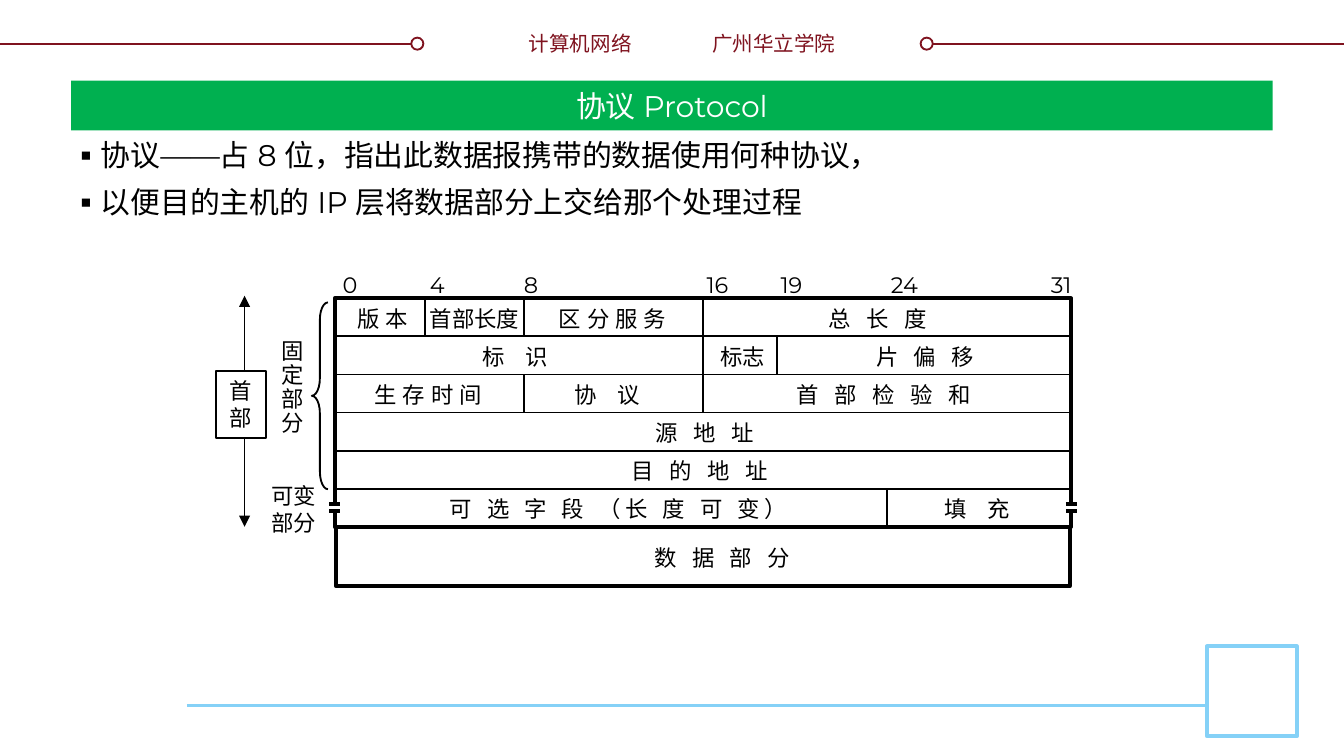
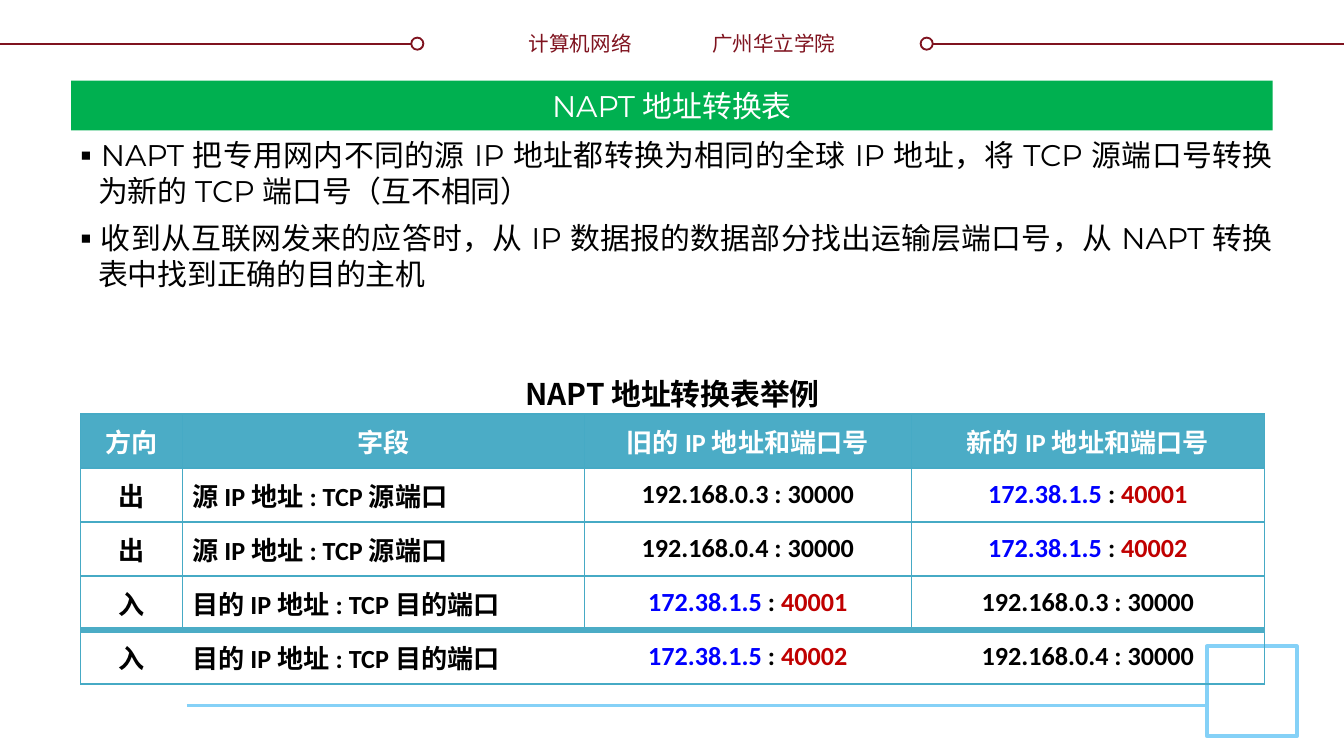
from lxml import etree
from pptx import Presentation
from pptx.dml.color import RGBColor
from pptx.enum.shapes import MSO_CONNECTOR as Connector, MSO_SHAPE as Shape
from pptx.enum.text import MSO_ANCHOR as Anchor, PP_ALIGN as Align
from pptx.oxml.ns import qn
from pptx.util import Inches, Pt

COLORS = {
    "white": "FFFFFF", "black": "000000", "maroon": "7F131F", "sky": "85D1F7",
    "green": "00B050", "teal": "4BACC6", "border": "46AAC5",
    "public": "0000FF", "port": "C00000",
}
BODY_FONT, CJK_FONT, TABLE_FONT = "Montserrat", "Noto Sans CJK SC", "Calibri"
FORMATS = {
    "header": {"size": Pt(11), "name": CJK_FONT},
    "body": {"size": Pt(16), "name": BODY_FONT},
    "label": {"size": Pt(12), "name": BODY_FONT},
    "caption": {"size": Pt(16), "name": CJK_FONT, "bold": True},
    "cell": {"size": Pt(14), "name": TABLE_FONT, "bold": True},
}
EAST_ASIAN_FONTS = {"cell": CJK_FONT}
DEFAULT_INSETS = (0.1, 0.05, 0.1, 0.05)


def color(name):
    return RGBColor.from_string(COLORS[name])


def set_values(target, values):
    for name, value in values.items():
        setattr(target, name, value)


def write_runs(paragraph, runs, style, spacing=0):
    """Fill a paragraph with (text, colour) runs."""
    for text, color_name in runs:
        run = paragraph.add_run()
        run.text = text
        set_values(run.font, FORMATS[style])
        run.font.color.rgb = color(color_name)
        properties = run.font._element
        if spacing:
            properties.set("spc", str(round(spacing * 100)))
        east_asian = etree.SubElement(properties, qn("a:ea"))
        east_asian.set("typeface", EAST_ASIAN_FONTS.get(style, FORMATS[style]["name"]))


def write_text(shape, lines, style, color_name="black", align=Align.LEFT, wrap=False,
               insets=DEFAULT_INSETS, anchor=Anchor.TOP, spacing=0, **paragraph_values):
    frame = shape.text_frame
    set_values(frame, {"word_wrap": wrap, "vertical_anchor": anchor})
    sides = ("margin_left", "margin_top", "margin_right", "margin_bottom")
    set_values(frame, {side: Inches(inset) for side, inset in zip(sides, insets)})
    for index, line in enumerate(lines):
        paragraph = frame.add_paragraph() if index else frame.paragraphs[0]
        set_values(paragraph, {"alignment": align, **paragraph_values})
        write_runs(paragraph, [(line, color_name)], style, spacing)
    return frame


def add_text(slide, box, lines, style, **options):
    shape = slide.shapes.add_textbox(*map(Inches, box))
    return write_text(shape, lines, style, **options)


def add_box(slide, box, fill="white", line=None, width=1, kind=Shape.RECTANGLE):
    shape = slide.shapes.add_shape(kind, *map(Inches, box))
    shape.shadow.inherit = False
    if fill:
        shape.fill.solid()
        shape.fill.fore_color.rgb = color(fill)
    else:
        shape.fill.background()
    if line:
        shape.line.color.rgb = color(line)
        shape.line.width = Pt(width)
    else:
        shape.line.fill.background()
    return shape


def add_line(slide, start, end, line="black", width=1, arrows=False):
    connector = slide.shapes.add_connector(
        Connector.STRAIGHT, *map(Inches, (*start, *end)))
    connector.line.color.rgb = color(line)
    connector.line.width = Pt(width)
    if arrows:
        outline = connector.line._get_or_add_ln()
        for tag in ("a:headEnd", "a:tailEnd"):
            etree.SubElement(outline, qn(tag)).set("type", "triangle")
    etree.SubElement(connector._element.spPr, qn("a:effectLst"))
    return connector


# Shared parts
def add_running_header(slide, box):
    left, top, width, height = box
    middle, line_length, dot = top + height / 2, 3.15, 0.09
    right = left + width
    for start, end, dot_left in (
            (left, left + line_length, left + line_length - dot),
            (right - line_length, right, right - line_length)):
        add_line(slide, (start, middle), (end, middle), "maroon")
        add_box(slide, (dot_left, middle - dot / 2, dot, dot), line="maroon",
                kind=Shape.OVAL)
    add_text(slide, (left + 3.83, top, 0.97, height), ["计算机网络"], "header",
             color_name="maroon", align=Align.RIGHT)
    add_text(slide, (left + 5.2, top, 1.16, height), ["广州华立学院"], "header",
             color_name="maroon")


def add_footer(slide, box):
    left, top, width, height = box
    square_left = left + width - height
    add_line(slide, (left, top + 0.44), (square_left, top + 0.44), "sky", 1.5)
    add_box(slide, (square_left, top, height, height), line="sky", width=2)


def add_title(slide, box, title):
    write_text(add_box(slide, box, "green"), [title], "body", color_name="white",
               align=Align.CENTER, wrap=True, anchor=Anchor.MIDDLE)


def add_bullets(slide, box, lines):
    frame = add_text(slide, box, lines, "body", align=Align.JUSTIFY, wrap=True,
                     insets=(0, 0.04, 0, 0.04), space_after=Pt(6))
    for paragraph in frame.paragraphs:
        properties = paragraph._p.get_or_add_pPr()
        properties.set("marL", str(Inches(0.2)))
        properties.set("indent", str(-Inches(0.2)))
        etree.SubElement(properties, qn("a:buFont")).set("typeface", CJK_FONT)
        etree.SubElement(properties, qn("a:buChar")).set("char", "▪")


def add_base_slide(presentation, title, bullets):
    slide = presentation.slides.add_slide(presentation.slide_layouts[6])
    add_running_header(slide, (0, 0.18, 10, 0.29))
    add_footer(slide, (1.39, 4.81, 8.26, 0.67))
    add_title(slide, (0.53, 0.6, 8.94, 0.37), title)
    add_bullets(slide, (0.53, 0.98, 8.94, 4.05), bullets)
    return slide


# IP datagram header: offsets are from the frame's top left corner
ROW_COUNT = 6
BIT_LABELS = [("0", -0.04, 0.31), ("4", 0.61, 0.31), ("8", 1.31, 0.31),
              ("16", 2.67, 0.36), ("19", 3.22, 0.36), ("24", 4.04, 0.41),
              ("31", 5.23, 0.36)]
# x, first row, last row
DIVIDERS = [(0.67, 0, 1), (1.41, 0, 1), (1.41, 2, 3), (2.74, 0, 3),
            (3.29, 1, 2), (4.11, 5, 6)]
# label, row, x, width, letter spacing
FIELDS = [
    ("版 本", 0, 0.07, 0.59, 0), ("首部长度", 0, 0.61, 0.87, 0),
    ("区 分 服 务", 0, 1.57, 1.03, 0), ("总 长 度", 0, 3.58, 0.97, 2.6),
    ("标 识", 1, 1, 0.74, 3.9), ("标志", 1, 2.77, 0.54, 0),
    ("片 偏 移", 1, 3.93, 0.97, 2.6), ("生 存 时 间", 2, 0.2, 1.03, 0),
    ("协 议", 2, 1.69, 0.74, 3.9), ("首 部 检 验 和", 2, 3.34, 1.57, 2.6),
    ("源 地 址", 3, 2.29, 0.97, 2.6), ("目 的 地 址", 4, 2.11, 1.27, 2.6),
    ("可 选 字 段 （长 度 可 变）", 5, 0.76, 2.76, 2.4),
    ("填 充", 5, 4.44, 0.74, 3.9),
]


def add_datagram(slide, box):
    left, top, width, height = box
    row_height = height / ROW_COUNT
    frame = add_box(slide, box, line="black", width=2)
    add_box(slide, (left + 0.01, top + height, width - 0.02, 0.44), line="black", width=2.25)

    # Grid
    for row in range(1, ROW_COUNT):
        y = top + row * row_height
        connector = add_line(slide, (left, y), (left + width, y))
        if row * 2 == ROW_COUNT:
            connector.begin_connect(frame, 1)
            connector.end_connect(frame, 3)
    for x, first, last in DIVIDERS:
        connector = add_line(slide, (left + x, top + first * row_height),
                             (left + x, top + last * row_height))
        if x * 2 == width and first == 0:
            connector.begin_connect(frame, 0)

    # Bit numbers and field names
    for label, x, label_width in BIT_LABELS:
        add_text(slide, (left + x, top - 0.25, label_width, 0.3), [label], "label")
    for label, row, x, label_width, spacing in FIELDS:
        add_text(slide, (left + x, top + row * row_height, label_width, 0.3),
                 [label], "label", spacing=spacing)
    add_text(slide, (left + 1.87, top + 1.78, 2.03, 0.3), ["数 据 部 分"], "label",
             align=Align.CENTER, wrap=True, spacing=2.6)

    # Break marks on both sides
    for x in (left - 0.04, left + width - 0.04):
        add_box(slide, (x, top + 1.53, 0.09, 0.04))
        for y in (top + 1.53, top + 1.58):
            add_line(slide, (x, y), (x + 0.08, y), width=2)


def add_header_extent(slide, box):
    """Arrow, brace and names to the left of the datagram."""
    left, top, width, height = box
    add_line(slide, (left + 0.21, top), (left + 0.21, top + height), arrows=True)
    write_text(add_box(slide, (left, top + 0.56, 0.37, 0.5), line="black"),
               ["首", "部"], "label", anchor=Anchor.MIDDLE)
    add_text(slide, (left + 0.39, top + 0.28, 0.37, 0.83), list("固定部分"), "label",
             line_spacing=0.9)
    add_text(slide, (left + 0.31, top + 1.34, 0.54, 0.5), ["可变", "部分"], "label")
    brace = add_box(slide, (left + width - 0.12, top + 0.05, 0.12, 1.39), None, "black",
                    kind=Shape.LEFT_BRACE)
    brace.adjustments[0], brace.adjustments[1] = 1.08, 0.5


# NAPT table
COLUMN_WIDTHS = (0.76, 2.99, 2.43, 2.63)
HEADINGS = ("方向", "字段", "旧的 IP 地址和端口号", "新的 IP 地址和端口号")
PUBLIC_ADDRESS = "172.38.1.5"
SOURCE, TARGET = "源 IP 地址 : TCP 源端口", "目的 IP 地址 : TCP 目的端口"
ENTRIES = [
    ("出", SOURCE, ("192.168.0.3", "30000"), (PUBLIC_ADDRESS, "40001")),
    ("出", SOURCE, ("192.168.0.4", "30000"), (PUBLIC_ADDRESS, "40002")),
    ("入", TARGET, (PUBLIC_ADDRESS, "40001"), ("192.168.0.3", "30000")),
    ("入", TARGET, (PUBLIC_ADDRESS, "40002"), ("192.168.0.4", "30000")),
]


def cell_runs(value, row):
    if isinstance(value, str):
        return [(value, "black" if row else "white")]
    address, port = value
    if address == PUBLIC_ADDRESS:
        return [(address, "public"), (" : ", "black"), (port, "port")]
    return [(f"{address} : {port}", "black")]


def set_borders(cell, borders):
    properties = cell._tc.get_or_add_tcPr()
    for index, (side, (color_name, width)) in enumerate(borders.items()):
        line = etree.Element(qn(f"a:ln{side}"), w=str(Pt(width)))
        if color_name:
            fill = etree.SubElement(line, qn("a:solidFill"))
            etree.SubElement(fill, qn("a:srgbClr")).set("val", COLORS[color_name])
        else:
            etree.SubElement(line, qn("a:noFill"))
        properties.insert(index, line)


def add_napt_table(slide, box):
    rows = [HEADINGS, *ENTRIES]
    last_row, last_column = len(rows) - 1, len(HEADINGS) - 1
    table = slide.shapes.add_table(len(rows), len(HEADINGS), *map(Inches, box)).table
    set_values(table, {"first_row": False, "horz_banding": False})
    for column, width in zip(table.columns, COLUMN_WIDTHS):
        column.width = Inches(width)
    thin, thick, hidden = ("border", 0.75), ("teal", 4), (None, 0.75)
    for row, values in enumerate(rows):
        table.rows[row].height = Inches(box[3] / len(rows))
        inner = hidden if row == last_row else thin
        for column, value in enumerate(values):
            cell = table.cell(row, column)
            set_values(cell, {
                "vertical_anchor": Anchor.MIDDLE, "margin_top": 0, "margin_bottom": 0,
                "margin_left": Inches(0.07), "margin_right": Inches(0.07)})
            if row:
                cell.fill.background()
            else:
                cell.fill.solid()
                cell.fill.fore_color.rgb = color("teal")
            set_borders(cell, {
                "L": inner if column else thin,
                "R": inner if column < last_column else thin,
                "T": thick if row == last_row else thin,
                "B": thick if row == last_row - 1 else thin})
            paragraph = cell.text_frame.paragraphs[0]
            paragraph.alignment = Align.JUSTIFY if row and column == 1 else Align.CENTER
            write_runs(paragraph, cell_runs(value, row), "cell")


def build_protocol_slide(presentation):
    slide = add_base_slide(presentation, "协议 Protocol", [
        "协议——占 8 位，指出此数据报携带的数据使用何种协议，",
        "以便目的主机的 IP 层将数据部分上交给那个处理过程"])
    add_datagram(slide, (2.49, 2.22, 5.48, 1.7))
    add_header_extent(slide, (1.61, 2.2, 0.83, 1.72))


def build_napt_slide(presentation):
    slide = add_base_slide(presentation, "NAPT 地址转换表", [
        "NAPT 把专用网内不同的源 IP 地址都转换为相同的全球 IP 地址，"
        "将 TCP 源端口号转换为新的 TCP 端口号（互不相同）",
        "收到从互联网发来的应答时，从 IP 数据报的数据部分找出运输层端口号，"
        "从 NAPT 转换表中找到正确的目的主机"])
    add_text(slide, (3.76, 2.75, 2.49, 0.37), ["NAPT 地址转换表举例"], "caption",
             align=Align.CENTER)
    add_napt_table(slide, (0.6, 3.08, 8.81, 2.01))


def main():
    presentation = Presentation()
    presentation.slide_width = Inches(10)
    presentation.slide_height = Inches(10 * 9 / 16)
    build_protocol_slide(presentation)
    build_napt_slide(presentation)
    presentation.save("out.pptx")


if __name__ == "__main__":
    main()
